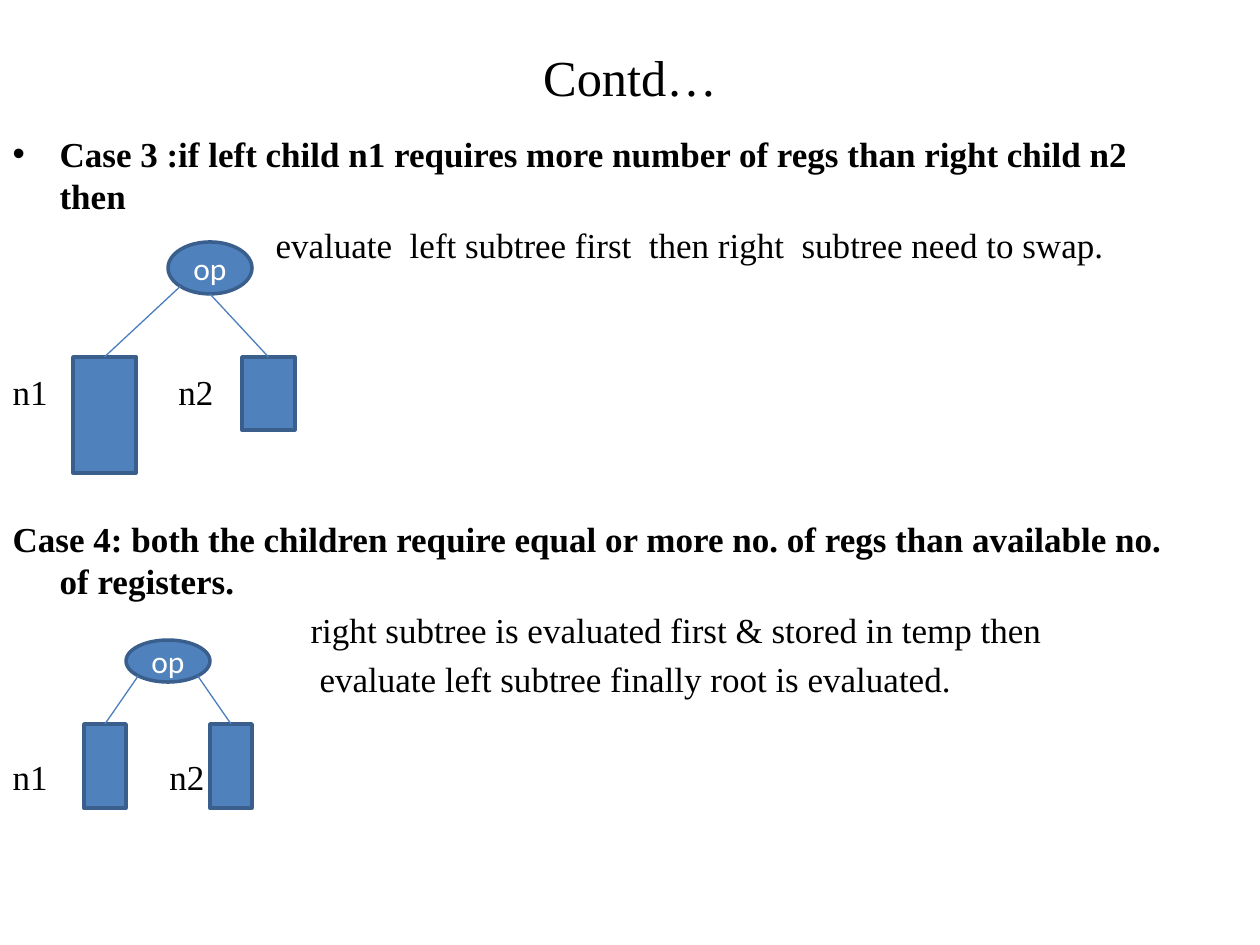
from dataclasses import dataclass
from math import sqrt

from lxml import etree
from pptx import Presentation
from pptx.dml.color import RGBColor
from pptx.enum.shapes import MSO_CONNECTOR, MSO_SHAPE
from pptx.enum.text import MSO_ANCHOR, MSO_AUTO_SIZE, PP_ALIGN
from pptx.oxml.ns import qn
from pptx.util import Pt

OVAL, RECT, STRAIGHT = MSO_SHAPE.OVAL, MSO_SHAPE.RECTANGLE, MSO_CONNECTOR.STRAIGHT
CENTER, LEFT = PP_ALIGN.CENTER, PP_ALIGN.LEFT
MIDDLE, TOP = MSO_ANCHOR.MIDDLE, MSO_ANCHOR.TOP
EMU_PER_PX = 914400 / 126


@dataclass(frozen=True)
class Theme:
    ink: str = "000000"
    white: str = "FFFFFF"
    fill: str = "4F81BD"
    outline: str = "3A5F8C"
    link: str = "4B7EBC"
    font: str = "Times New Roman"
    node_font: str = "Calibri"
    title_size: float = 28.8
    body_size: int = 20
    node_size: int = 18
    line_pitch: int = 24
    gap: int = 4


T = Theme()

# Content: boxes are left, top, width, height in px
TITLE = "Contd…"
TITLE_BOX = (63, 37, 1134, 78)
BODY_BOX = (0, 126, 1197, 718)
HANG = 47
BODY = [
    ("Case 3 :if left child n1 requires more number of regs than right child n2 then",
     dict(bold=True, left=HANG, first=-HANG, bullet="•", before=0)),
    ("evaluate  left subtree first  then right  subtree need to swap.", dict(left=263)),
    ("n1", dict(skip=2)),
    ("Case 4: both the children require equal or more no. of regs than available no. of registers.",
     dict(bold=True, left=HANG, first=-HANG, skip=2)),
    ("right subtree is evaluated first & stored in temp then", dict(left=298)),
    ("evaluate left subtree finally root is evaluated.", dict(left=307)),
    ("n1", dict(skip=1)),
]
# Each child is its box and the side of the root its link leaves from (-1, 0, 1)
TREES = [
    dict(root=(168, 242, 84, 52), right_label=(166, 364, 70, 55),
         children=[((73, 357, 63, 116), -1), ((242, 357, 53, 73), 0)]),
    dict(root=(126, 640, 84, 42), right_label=(157, 749, 70, 55),
         children=[((84, 724, 42, 84), -1), ((210, 724, 42, 84), 1)]),
]


def px(n):
    return round(n * EMU_PER_PX)


def rgb(color):
    return RGBColor.from_string(color)


def write(p, text, *, size=T.body_size, font=T.font, color=T.ink, bold=False,
          align=LEFT, left=0, first=0, bullet=None, before=T.gap, skip=0, pitch=None):
    """Fill a paragraph; skip leaves that many line heights free above it."""
    p.text = text
    p.alignment = align
    p.space_before = Pt(before + skip * (T.line_pitch + T.gap))
    if pitch:
        p.line_spacing = Pt(pitch)
    for r in p.runs:
        r.font.size, r.font.name, r.font.bold = Pt(size), font, bold
        r.font.color.rgb = rgb(color)
    pPr = p._p.get_or_add_pPr()
    pPr.set("marL", str(px(left)))
    pPr.set("indent", str(px(first)))
    if bullet:
        etree.SubElement(pPr, qn("a:buChar"), char=bullet)
    else:
        etree.SubElement(pPr, qn("a:buNone"))


def place(sp, box, anchor):
    sp.left, sp.top, sp.width, sp.height = map(px, box)
    tf = sp.text_frame
    tf.auto_size, tf.word_wrap, tf.vertical_anchor = MSO_AUTO_SIZE.NONE, True, anchor
    return tf


def add_node(s, kind, box, text=None):
    sp = s.shapes.add_shape(kind, *map(px, box))
    sp.shadow.inherit = False
    sp.fill.solid()
    sp.fill.fore_color.rgb = rgb(T.fill)
    sp.line.color.rgb = rgb(T.outline)
    sp.line.width = Pt(2)
    if text:
        tf = sp.text_frame
        tf.word_wrap, tf.vertical_anchor = False, MIDDLE
        write(tf.paragraphs[0], text, size=T.node_size, font=T.node_font,
              color=T.white, align=CENTER, before=0)
    return sp


def add_link(s, root, side, child):
    """Join the root oval's bottom (or lower diagonal point) to the child's top."""
    x, y, w, h = root
    reach = 1 / sqrt(2) if side else 1
    start = px(x + w / 2 * (1 + side * reach)), px(y + h / 2 * (1 + reach))
    line = s.shapes.add_connector(STRAIGHT, *start, child.left, child.top)
    line.end_connect(child, 0)
    line.line.color.rgb = rgb(T.link)
    line.line.width = Pt(0.75)
    etree.SubElement(line._element.spPr, qn("a:effectLst"))


def main():
    prs = Presentation()
    prs.slide_width, prs.slide_height = px(1260), px(945)
    s = prs.slides.add_slide(prs.slide_layouts[1])

    # Title and body text
    tf = place(s.shapes.title, TITLE_BOX, MIDDLE)
    write(tf.paragraphs[0], TITLE, size=T.title_size, align=CENTER, before=0)
    tf = place(s.placeholders[1], BODY_BOX, TOP)
    for i, (text, fmt) in enumerate(BODY):
        p = tf.add_paragraph() if i else tf.paragraphs[0]
        write(p, text, pitch=T.line_pitch, **fmt)

    # Expression trees, each with its right child's label on the n1 line
    for tree in TREES:
        box = tree["right_label"]
        tf = place(s.shapes.add_textbox(*map(px, box)), box, TOP)
        write(tf.paragraphs[0], "n2", before=0, pitch=T.line_pitch)
        add_node(s, OVAL, tree["root"], "op")
        nodes = [(add_node(s, RECT, box), side) for box, side in tree["children"]]
        for child, side in nodes:
            add_link(s, tree["root"], side, child)

    prs.save("out.pptx")


if __name__ == "__main__":
    main()
